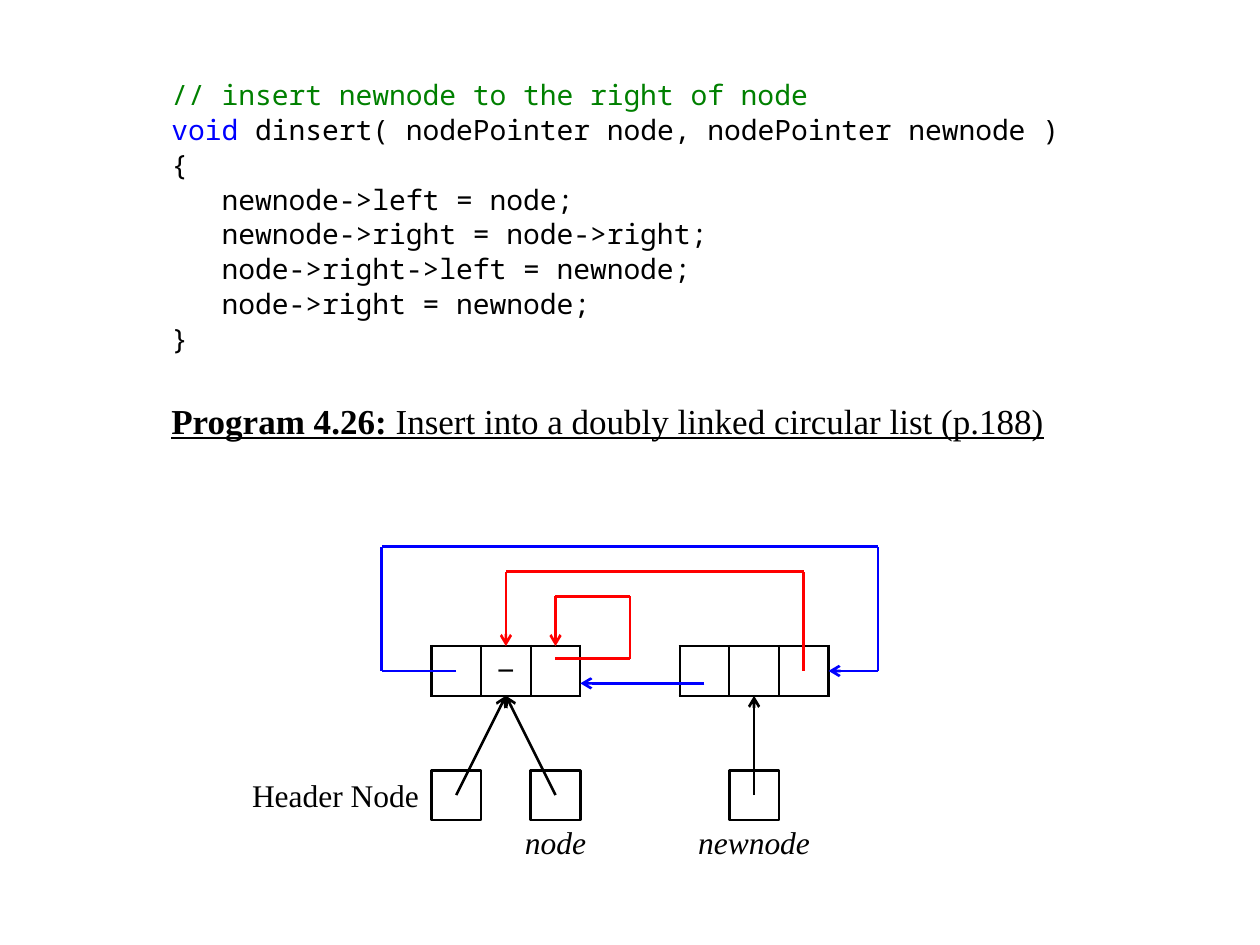
from lxml import etree
from pptx import Presentation
from pptx.dml.color import RGBColor
from pptx.enum import shapes, text
from pptx.oxml.ns import qn
from pptx.util import Inches, Pt

BLACK = RGBColor(0, 0, 0)
BLUE = RGBColor(0, 0, 0xFF)
GREEN = RGBColor(0, 0x80, 0)
RED = RGBColor(0xFF, 0, 0)
SERIF, MONO = "Times New Roman", "Noto Sans Mono"

CODE = [
    [("// insert newnode to the right of node", GREEN)],
    [("void ", BLUE), ("dinsert( nodePointer node, nodePointer newnode )", BLACK)],
    [("{", BLACK)],
    [("   newnode->left = node;", BLACK)],
    [("   newnode->right = node->right;", BLACK)],
    [("   node->right->left = newnode;", BLACK)],
    [("   node->right = newnode;", BLACK)],
    [("}", BLACK)],
]

LINKS = [
    (BLUE, [(7.5 - 1, 2.75), (4, 2.75)], True),
    (BLUE, [(1.5, 2.5), (0, 2.5), (0, 0), (10, 0), (10, 2.5), (9, 2.5)], True),
    (RED, [(8.5, 2.5), (8.5, 0.5), (2.5, 0.5), (2.5, 2)], True),
    (RED, [(3.5, 2.25), (5, 2.25), (5, 1), (3.5, 1), (3.5, 2)], True),
    (BLACK, [(1.5, 5), (2.5, 3)], True),
    (BLACK, [(3.5, 5), (2.5, 3)], True),
    (BLACK, [(7.5, 5), (7.5, 3)], True),
]


def style(r, font, size, color=BLACK, bold=False, italic=False, underline=False):
    """Format one run."""
    f = r.font
    f.name, f.size, f.bold, f.italic, f.underline = font, Pt(size), bold, italic, underline
    f.color.rgb = color


def add_body(sp, box, paragraphs, before):
    """Place a body placeholder and write plain paragraphs of styled runs."""
    sp.left, sp.top, sp.width, sp.height = (Inches(v) for v in box)
    tf = sp.text_frame
    tf.word_wrap = True
    tf.auto_size = text.MSO_AUTO_SIZE.NONE
    tf.vertical_anchor = text.MSO_ANCHOR.TOP
    for i, runs in enumerate(paragraphs):
        p = tf.add_paragraph() if i else tf.paragraphs[0]
        p.line_spacing, p.space_before = 0.88, Pt(before)
        pPr = p._p.get_or_add_pPr()
        pPr.set("marL", "0")
        pPr.set("indent", "0")
        etree.SubElement(pPr, qn("a:buNone"))
        for words, options in runs:
            r = p.add_run()
            r.text = words
            style(r, **options)


def add_line(s, start, end, color, arrow):
    """Draw a straight line, with an open arrowhead at its end if asked."""
    c = s.shapes.add_connector(shapes.MSO_CONNECTOR.STRAIGHT, *start, *end)
    c.line.color.rgb, c.line.width = color, Pt(1.5)
    if arrow:
        etree.SubElement(c.line._get_or_add_ln(), qn("a:tailEnd"), type="arrow")
    etree.SubElement(c._element.spPr, qn("a:effectLst"))


def border(cell):
    """Give a cell black borders and no fill."""
    tcPr = cell._tc.get_or_add_tcPr()
    for side in ("a:lnL", "a:lnR", "a:lnT", "a:lnB"):
        ln = etree.SubElement(tcPr, qn(side), w=str(Pt(1.5)))
        fill = etree.SubElement(ln, qn("a:solidFill"))
        etree.SubElement(fill, qn("a:srgbClr"), val=str(BLACK))
    cell.fill.background()


def add_node(s, left, top, unit, data=""):
    """Add a list node: left link, data and right link."""
    t = s.shapes.add_table(1, 3, left, top, 3 * unit, unit).table
    t.first_row = t.horz_banding = False
    t.rows[0].height = unit
    for i in range(3):
        t.columns[i].width = unit
        cell = t.cell(0, i)
        cell.margin_top = cell.margin_bottom = 0
        cell.vertical_anchor = text.MSO_ANCHOR.MIDDLE
        border(cell)
    if data:
        p = t.cell(0, 1).text_frame.paragraphs[0]
        p.text, p.alignment = data, text.PP_ALIGN.CENTER
        style(p.runs[0], SERIF, 18, bold=True)


def add_label(s, box, words, align, italic, bottom):
    """Add a one-line label."""
    tf = s.shapes.add_textbox(*box).text_frame
    tf.word_wrap = False
    tf.vertical_anchor = text.MSO_ANCHOR.MIDDLE
    if italic:
        tf.margin_top = 0
    tf.margin_bottom = Inches(bottom)
    p = tf.paragraphs[0]
    p.text, p.alignment = words, align
    style(p.runs[0], SERIF, 18, italic=italic)


def add_diagram(s, left, top, width):
    """Draw the list on a grid of ten columns within the given width."""
    unit = Inches(width / 10)

    def at(x, y):
        """Turn grid units into slide lengths."""
        return Inches(left + x * width / 10), Inches(top + y * width / 10)

    add_node(s, *at(6, 2), unit)
    add_node(s, *at(1, 2), unit, "−")
    for x in (1, 3, 7):
        sp = s.shapes.add_shape(shapes.MSO_SHAPE.RECTANGLE, *at(x, 4.5), unit, unit)
        sp.shadow.inherit = False
        sp.fill.background()
        sp.line.color.rgb, sp.line.width = BLACK, Pt(1.5)
    for color, points, arrow in LINKS:
        last = len(points) - 2
        for i, (start, end) in enumerate(zip(points, points[1:])):
            add_line(s, at(*start), at(*end), color, arrow and i == last)
    center, right = text.PP_ALIGN.CENTER, text.PP_ALIGN.RIGHT
    add_label(s, (*at(-3, 4.5), 4 * unit, unit), "Header Node", right, False, 0.05)
    add_label(s, (*at(2.5, 5.5), 2 * unit, unit), "node", center, True, 0.04)
    add_label(s, (*at(6, 5.5), 3 * unit, unit), "newnode", center, True, 0.04)


def main():
    """Build the slide."""
    prs = Presentation()
    prs.slide_width, prs.slide_height = Inches(10), Inches(7.5)
    s = prs.slides.add_slide(prs.slide_layouts[3])
    title = s.shapes.title._element
    title.getparent().remove(title)
    code, caption = s.placeholders
    lines = [[(words, dict(font=MONO, size=16, color=color)) for words, color in line]
             for line in CODE]
    add_body(code, (1.26, 0.6, 7.48, 2.56), lines, 3)
    look = dict(font=SERIF, size=20, underline=True)
    add_body(caption, (1.26, 3.16, 7.48, 0.39), [[
        ("Program 4.26:", dict(look, bold=True)),
        (" Insert into a doubly linked circular list (p.188)", look),
    ]], 4)
    add_diagram(s, 3.03, 4.34, 3.94)
    prs.save("out.pptx")


if __name__ == "__main__":
    main()
